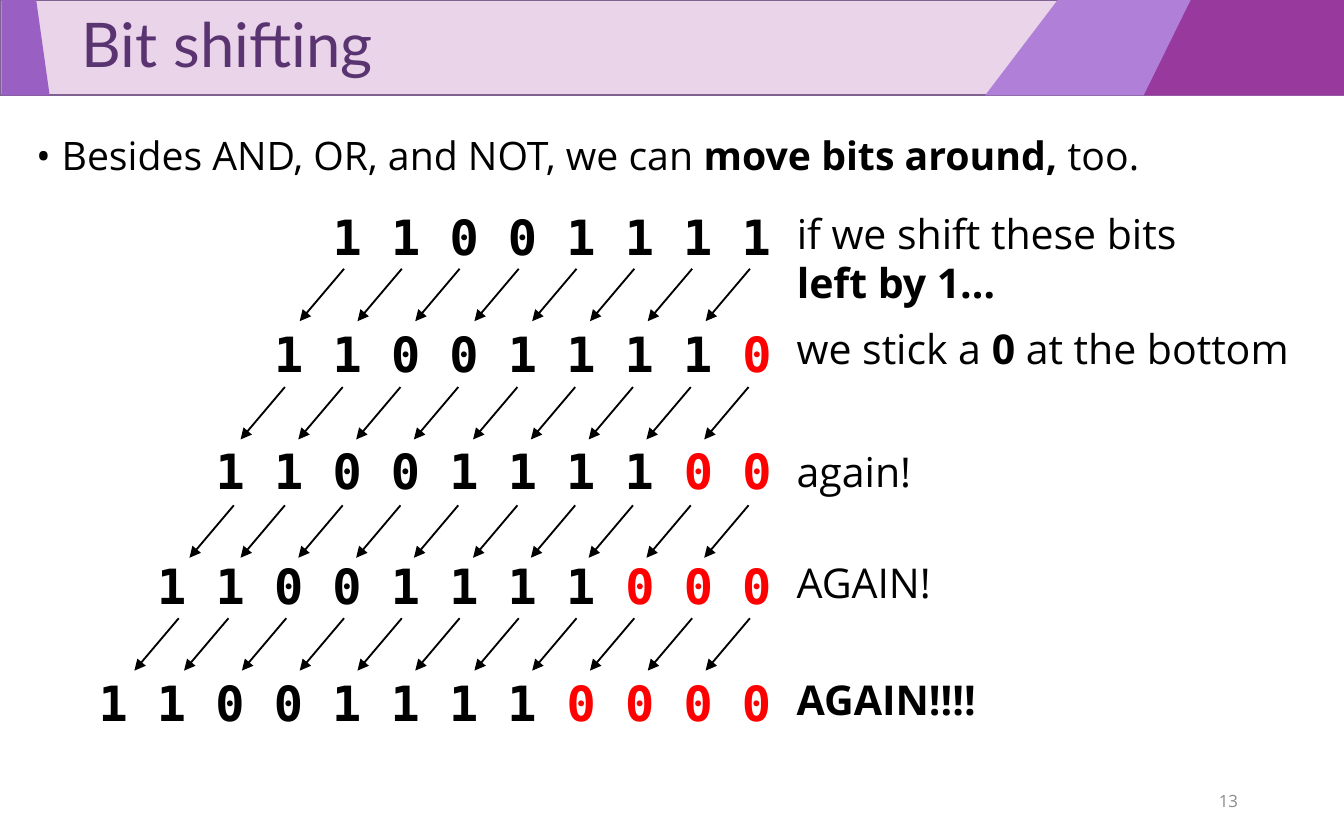
from dataclasses import dataclass

from pptx import Presentation
from pptx.dml.color import RGBColor as Color
from pptx.enum.shapes import MSO_CONNECTOR as Link, MSO_SHAPE as Shape
from pptx.enum.text import MSO_ANCHOR as Anchor, MSO_AUTO_SIZE as Fit, PP_ALIGN as Align
from pptx.oxml.ns import qn
from pptx.util import Pt

PX = 9144


@dataclass(frozen=True)
class Theme:
    """Colours, fonts and type sizes of the slide."""
    band: str = "E9D4E9"
    edge: str = "806292"
    mid: str = "B07FD8"
    left: str = "995FC2"
    dark: str = "98399D"
    head: str = "5A3471"
    ink: str = "000000"
    new: str = "FF0000"
    faint: str = "8C8C8C"
    sans: str = "Open Sans"
    mono: str = "DejaVu Sans Mono"
    title: str = "Lato"
    title_pt: int = 33
    body_pt: int = 21
    note_pt: int = 22
    bit_pt: int = 26
    page_pt: int = 9


T = Theme()


def paint(shape, fill, line=None):
    """Give a shape a flat fill and an optional outline."""
    shape.shadow.inherit = False
    shape.fill.solid()
    shape.fill.fore_color.rgb = Color.from_string(fill)
    if line:
        shape.line.color.rgb = Color.from_string(line)
        shape.line.width = Pt(1)
    else:
        shape.line.fill.background()


def band(slide):
    """Draw the title band."""
    rect = slide.shapes.add_shape(Shape.RECTANGLE, 0, 0, 1000 * PX, 71 * PX)
    paint(rect, T.band, T.edge)


def slant(slide, fill, *spots):
    """Draw a closed polygon with slanted sides."""
    build = slide.shapes.build_freeform(*spots[0], scale=PX)
    build.add_line_segments(spots[1:], close=True)
    paint(build.convert_to_shape(), fill)


def put(para, words, bold=False, tint=None, **fmt):
    """Add one run to a paragraph."""
    run = para.add_run()
    run.text = words
    run.font.name = fmt["font"]
    run.font.size = Pt(fmt["size"])
    run.font.bold = bold
    run.font.color.rgb = Color.from_string(tint or fmt["color"])


def text(slide, box, runs, size=T.note_pt, font=T.sans, color=T.ink, align=Align.LEFT,
         anchor=Anchor.TOP, grow=False, indent=(0, 0), bullet=None, lead=None, before=0):
    """Add a text box whose runs are (words, bold, colour) with the last two optional."""
    frame = slide.shapes.add_textbox(*(n * PX for n in box)).text_frame
    frame.word_wrap = True
    frame.auto_size = Fit.SHAPE_TO_FIT_TEXT if grow else Fit.NONE
    frame.vertical_anchor = anchor
    para = frame.paragraphs[0]
    para.alignment = align
    para.line_spacing = lead
    para.space_before = Pt(before)
    props = para._p.get_or_add_pPr()
    props.set("marL", str(indent[0] * PX))
    props.set("indent", str(indent[1] * PX))
    if bullet:
        props.append(props.makeelement(qn("a:buFont"), {"typeface": font}))
        props.append(props.makeelement(qn("a:buChar"), {"char": bullet}))
    for run in runs:
        put(para, *run, size=size, font=font, color=color)


def arrow(slide, x, y):
    """Draw one arrow down and to the left."""
    line = slide.shapes.add_connector(Link.STRAIGHT, x * PX, y * PX, (x - 33) * PX, (y + 39) * PX)
    line.line.color.rgb = Color.from_string(T.ink)
    line.line.width = Pt(1)
    props = line._element.spPr
    props.find(qn("a:ln")).append(props.makeelement(qn("a:tailEnd"), {"type": "triangle"}))
    props.append(props.makeelement(qn("a:effectLst"), {}))


def bits(slide, step):
    """Write the bits after a number of shifts on one line."""
    wide = 360 + 44 * step
    runs = [("1 1 0 0 1 1 1 1", True)]
    if step:
        runs.append((" 0" * step, True, T.new))
    text(slide, (584 - wide, 149 + round(86.75 * step), wide, 57), runs, size=T.bit_pt,
         font=T.mono, align=Align.RIGHT, grow=True)


def shift(slide, step, x, y, nudge):
    """Draw the arrows of one shift, the leftmost one nudged to the right."""
    last = 7 + step
    for spot in range(last + 1):
        arrow(slide, x - round(43.1 * spot) + nudge * (spot == last), y)


def main():
    """Build the slide and save it."""
    deck = Presentation()
    deck.slide_width, deck.slide_height = 1000 * PX, 625 * PX
    slide = deck.slides.add_slide(deck.slide_layouts[6])

    band(slide)
    slant(slide, T.mid, (787, 0), (1000, 0), (1000, 71), (733, 71))
    slant(slide, T.left, (1, 0), (27, 0), (37, 71), (1, 71))
    slant(slide, T.dark, (886, 0), (1000, 0), (1000, 71), (851, 71))

    text(slide, (1, 0, 999, 71), [("Bit shifting",)], size=T.title_pt, font=T.title,
         color=T.head, anchor=Anchor.MIDDLE, indent=(50, 0), lead=0.9)
    text(slide, (17, 97, 958, 58),
         [("Besides AND, OR, and NOT, we can ",), ("move bits around, ", True), ("too.",)],
         size=T.body_pt, indent=(19, -19), bullet="•", lead=0.9, before=7.5)
    text(slide, (706, 579, 225, 33), [("13",)], size=T.page_pt, color=T.faint,
         align=Align.RIGHT, anchor=Anchor.MIDDLE)

    for step in range(5):
        bits(slide, step)
    for step, (x, y, nudge) in enumerate([(558, 200, 0), (557, 288, 0),
                                          (557, 376, 5), (558, 460, 6)]):
        shift(slide, step, x, y, nudge)

    notes = [
        (150, 348, [("if we shift these bits ",), ("left by 1…", True)]),
        (236, 400, [("we stick a ",), ("0", True), (" at the bottom",)]),
        (327, 400, [("again!",)]),
        (410, 400, [("AGAIN!",)]),
        (497, 400, [("AGAIN!!!!", True)]),
    ]
    for y, wide, runs in notes:
        text(slide, (583, y, wide, 47), runs, grow=True)

    deck.save("out.pptx")


if __name__ == "__main__":
    main()
